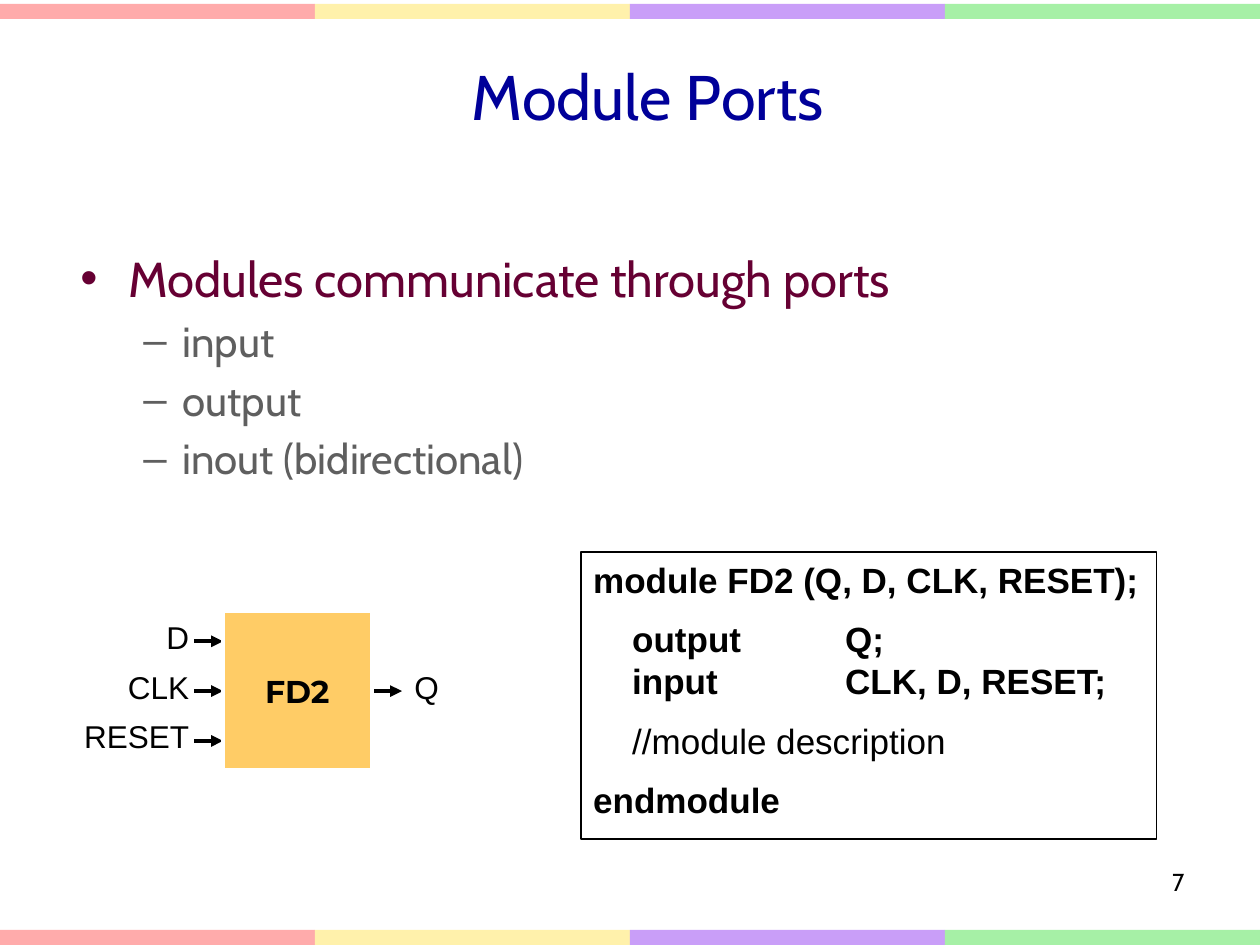
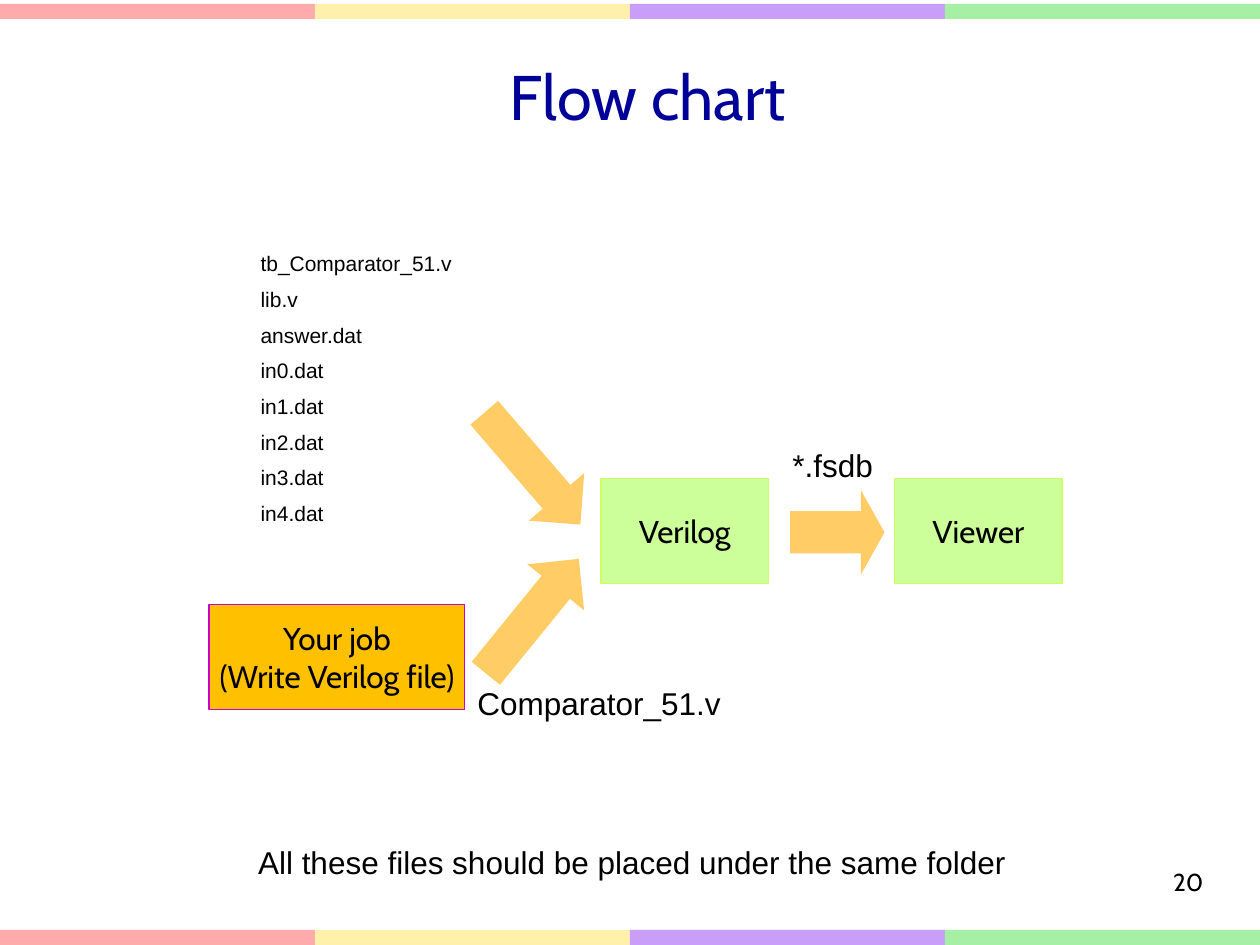
import pptx
import pptx.util
import pptx.dml.color
import pptx.enum.shapes
import pptx.enum.text
import pptx.oxml.ns
import lxml.etree

COLUMNS, ROWS = 100, 75
COLORS = {
    "title": "000099", "heading": "660033", "item": "5F5F5F",
    "ink": "000000", "paper": "FFFFFF",
    "amber": "FFCC66", "job": "FFC000", "job_edge": "CC00CC",
    "tool": "CCFF99", "tool_edge": "CCFF66",
}
BAND_COLORS = ["FFABAB", "FFF1AB", "C99EF8", "A6F0A6"]
SHAPES = pptx.enum.shapes.MSO_SHAPE
ALIGN = pptx.enum.text.PP_ALIGN
ANCHOR = pptx.enum.text.MSO_ANCHOR


def rgb(name):
    return pptx.dml.color.RGBColor.from_string(COLORS.get(name, name))


def add_xml(parent, tag, **attributes):
    return lxml.etree.SubElement(parent, pptx.oxml.ns.qn(tag), attributes)


class Deck:
    """Holds the style and the current slide; lengths are grid columns and rows."""

    def __init__(self):
        self.presentation = pptx.Presentation()
        self.presentation.slide_width = pptx.util.Inches(10)
        self.presentation.slide_height = pptx.util.Inches(7.5)
        self.column = self.presentation.slide_width / COLUMNS
        self.row = self.presentation.slide_height / ROWS
        self.slide = None

    def place(self, left, top, width, height):
        return (round(left * self.column), round(top * self.row),
                round(width * self.column), round(height * self.row))

    def start_slide(self, title, number, number_right):
        self.slide = self.presentation.slides.add_slide(self.presentation.slide_layouts[6])
        pitch = COLUMNS / len(BAND_COLORS)
        for top in (0.3, 73.8):
            for index, color in enumerate(BAND_COLORS):
                self.shape((index * pitch, top, pitch, 1.2), color)
        self.text((12.9, 1.3, 77, 12.5), [title], 36, "Cabin", "title",
                  align=ALIGN.CENTER, anchor=ANCHOR.MIDDLE)
        self.text((number_right - 23, 68.3, 23, 5.2), [str(number)], 14, "Cabin",
                  align=ALIGN.RIGHT)

    def style(self, paragraph, size, font, color="ink", bold=False, align=None, before=0):
        paragraph.alignment = align
        paragraph.space_before = pptx.util.Pt(before)
        for run in paragraph.runs:
            run.font.size = pptx.util.Pt(size)
            run.font.name = font
            run.font.bold = bold
            run.font.color.rgb = rgb(color)

    def fill_text(self, shape, lines, size, font, color="ink", bold=False, align=None,
                  anchor=ANCHOR.TOP, wrap=True, spacing=0):
        """Spacing is the gap between paragraphs, as a share of the text size."""
        frame = shape.text_frame
        frame.text = "\n".join(lines)
        frame.word_wrap = wrap
        frame.vertical_anchor = anchor
        for index, paragraph in enumerate(frame.paragraphs):
            before = spacing * size if index else 0
            self.style(paragraph, size, font, color, bold, align, before)
        return frame.paragraphs

    def text(self, box, lines, size, font, color="ink", **options):
        shape = self.slide.shapes.add_textbox(*self.place(*box))
        return self.fill_text(shape, lines, size, font, color, **options)

    def shape(self, box, fill=None, edge=None, edge_width=0.75, kind=SHAPES.RECTANGLE):
        shape = self.slide.shapes.add_shape(kind, *self.place(*box))
        shape.shadow.inherit = False
        if fill:
            shape.fill.solid()
            shape.fill.fore_color.rgb = rgb(fill)
        else:
            shape.fill.background()
        if edge:
            shape.line.color.rgb = rgb(edge)
            shape.line.width = pptx.util.Pt(edge_width)
        else:
            shape.line.fill.background()
        return shape

    def labelled_box(self, box, lines, fill, edge, edge_width=0.75, font="Cabin", bold=False):
        shape = self.shape(box, fill, edge, edge_width)
        self.fill_text(shape, lines, 18, font, bold=bold, align=ALIGN.CENTER,
                       anchor=ANCHOR.MIDDLE, wrap=False)

    def block_arrow(self, box, rotation=0, head=0.5):
        arrow = self.shape(box, "amber", kind=SHAPES.RIGHT_ARROW)
        arrow.adjustments[1] = head
        arrow.rotation = rotation

    def wire(self, left, right, y):
        start_x, start_y, length, _ = self.place(left, y, right - left, 0)
        connector = self.slide.shapes.add_connector(
            pptx.enum.shapes.MSO_CONNECTOR.STRAIGHT,
            start_x, start_y, start_x + length, start_y)
        connector.line.color.rgb = rgb("ink")
        connector.line.width = pptx.util.Pt(2.25)
        add_xml(connector.line._get_or_add_ln(), "a:tailEnd", type="triangle")
        add_xml(connector._element.spPr, "a:effectLst")

    def indent(self, paragraph, margin, first_line):
        properties = paragraph._p.get_or_add_pPr()
        properties.set("marL", str(round(margin * self.column)))
        properties.set("indent", str(round(first_line * self.column)))
        return properties

    def bullet(self, paragraph, mark, margin, hanging):
        properties = self.indent(paragraph, margin, -hanging)
        add_xml(properties, "a:buFont", typeface="Arial")
        add_xml(properties, "a:buChar", char=mark)


def build_module_ports(deck):
    deck.start_slide("Module Ports", 7, 95)

    # Bullet list
    heading, *items = deck.text(
        (5.4, 19.2, 92.3, 45),
        ["Modules communicate through ports", "input", "output", "inout (bidirectional)"],
        24, "Cabin", "item", spacing=0.2)
    deck.style(heading, 28, "Cabin", "heading")
    deck.bullet(heading, "•", 3.8, 3.8)
    for item in items:
        deck.bullet(item, "–", 8.1, 3.1)

    # Code listing: default tab stops, every half inch, align the port names
    listing = deck.shape((46.1, 43.8, 45.7, 22.8), edge="ink", edge_width=1)
    code = deck.fill_text(
        listing,
        ["module FD2 (Q, D, CLK, RESET);", "output\t\tQ;", "input\t\t\tCLK, D, RESET;",
         "//module description", "endmodule"],
        20, "Arial", bold=True, align=ALIGN.LEFT, spacing=0.5)
    for line in code[1:4]:
        deck.indent(line, 0, 3.1)
    code[2].space_before = pptx.util.Pt(0)
    code[3].runs[0].font.bold = False

    # Block symbol with its ports
    first_port, port_pitch, label_rise = 50.9, 3.95, 2.35
    for index, port in enumerate(["D", "CLK", "RESET"]):
        y = first_port + index * port_pitch
        deck.wire(15.4, 17.7, y)
        deck.text((5, y - label_rise, 11, 4.1), [port], 18, "Arial", align=ALIGN.RIGHT)
    middle = first_port + port_pitch
    deck.wire(29.5, 31.9, middle)
    deck.text((31.9, middle - label_rise, 4.7, 4.1), ["Q"], 18, "Arial")
    deck.labelled_box((17.7, 48.5, 11.8, 12.6), ["FD2"], "amber", "paper", 2.25,
                      font="Montserrat", bold=True)


def build_flow_chart(deck):
    deck.start_slide("Flow chart", 20, 96.5)

    # Steps
    for left, tool in ((47.7, "Verilog"), (71, "Viewer")):
        deck.labelled_box((left, 38, 13.3, 8.3), [tool], "tool", "tool_edge")
    deck.labelled_box((16.6, 48, 20.3, 8.3), ["Your job", "(Write Verilog file)"],
                      "job", "job_edge")

    # Arrows between the steps
    for top, rotation in ((34.3, 49.3), (46, 309.1)):
        deck.block_arrow((36.4, top, 11.7, 5.8), rotation)
    deck.block_arrow((62.7, 38.9, 7.5, 6.7), head=0.28)

    # Files
    files = ["tb_Comparator_51.v", "lib.v", "answer.dat"]
    files += [f"in{index}.dat" for index in range(5)]
    deck.text((19.7, 19.4, 18, 28.8), files, 12, "Arial", spacing=0.5)
    for box, label in (
        ((36.9, 53.8, 22.7, 4), "Comparator_51.v"),
        ((61.9, 34.9, 8.8, 4), "*.fsdb"),
        ((19.5, 66.4, 62, 4), "All these files should be placed under the same folder"),
    ):
        deck.text(box, [label], 18, "Arial")


def main():
    deck = Deck()
    build_module_ports(deck)
    build_flow_chart(deck)
    deck.presentation.save("out.pptx")


if __name__ == "__main__":
    main()
